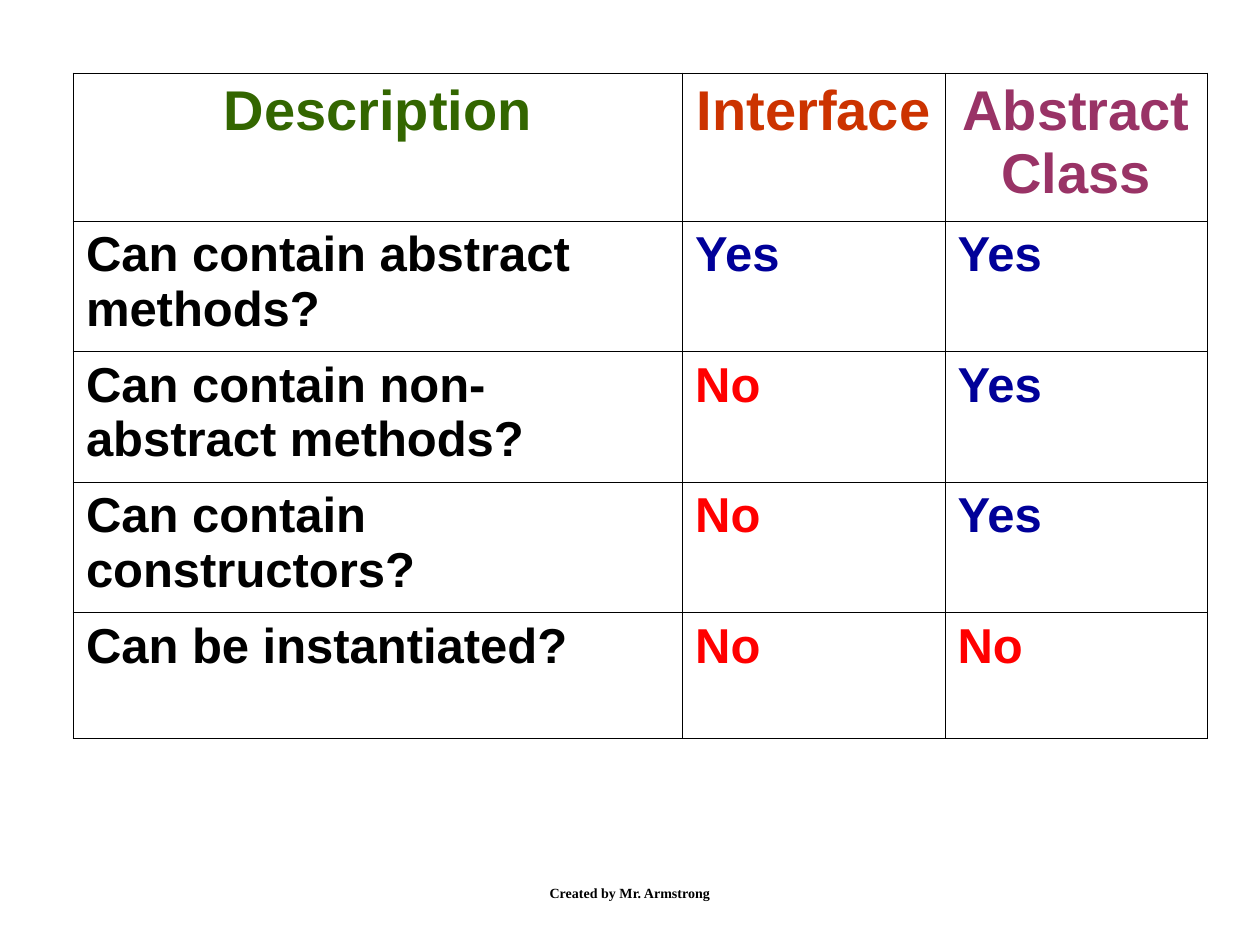
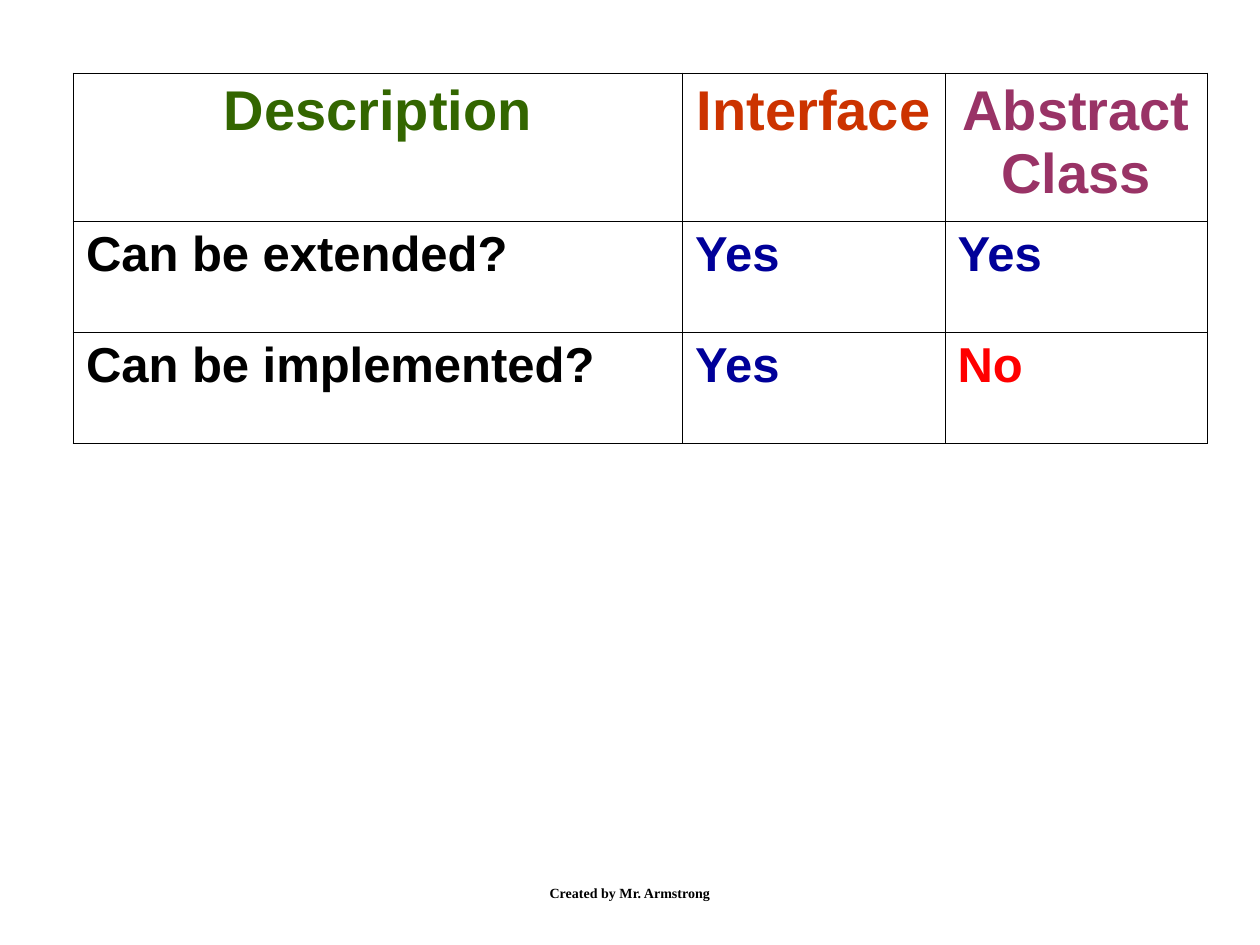
from dataclasses import dataclass

from lxml import etree
from pptx import Presentation
from pptx import util as u
from pptx.dml.color import RGBColor
from pptx.enum import text
from pptx.oxml import ns


@dataclass(frozen=True)
class Theme:
    """Colours, fonts and sizes shared by both slides."""
    ink: str = "000000"
    paper: str = "FFFFFF"
    headings: tuple = ("336600", "CC3300", "993366")
    yes: str = "000099"
    no: str = "FF0000"
    table_font: str = "Arial"
    footer_font: str = "Times New Roman"
    heading_size: int = 32
    body_size: int = 28
    footer_size: int = 8
    outer_line: float = 1.08
    inner_line: float = 0.45


@dataclass(frozen=True)
class Box:
    """A region of the slide in centimetres."""
    left: float
    top: float
    width: float
    height: float

    def place(self):
        """Return the region as lengths."""
        return [u.Cm(side) for side in (self.left, self.top, self.width, self.height)]


THEME = Theme()
HEADINGS = ("Description", "Interface", "Abstract Class")
COLUMN_WIDTHS = (12.28, 5.29, 5.29)
HEADING_HEIGHT = 2.98
FOOTER_BOX = Box(8.68, 17.36, 8.04, 1.27)

COMPARISONS = (
    (
        (2.63, "Can contain abstract methods?", "Yes", "Yes"),
        (2.63, "Can contain non-abstract methods?", "No", "Yes"),
        (2.63, "Can contain constructors?", "No", "Yes"),
        (2.54, "Can be instantiated?", "No", "No"),
    ),
    (
        (2.24, "Can be extended?", "Yes", "Yes"),
        (2.24, "Can be implemented?", "Yes", "No"),
    ),
)


def write(frame, words, font, size, colour, align):
    """Write one bold paragraph and return it."""
    frame.text = words
    para = frame.paragraphs[0]
    para.alignment = align
    for span in para.runs:
        span.font.name = font
        span.font.size = u.Pt(size)
        span.font.bold = True
        span.font.color.rgb = RGBColor.from_string(colour)
    return para


def draw_borders(cell, outer_sides):
    """Line all four sides of a cell, with heavier lines on the outer ones."""
    properties = cell._tc.get_or_add_tcPr()
    for side in "LRTB":
        points = THEME.outer_line if side in outer_sides else THEME.inner_line
        line = etree.SubElement(properties, ns.qn(f"a:ln{side}"), w=str(u.Pt(points)))
        fill = etree.SubElement(line, ns.qn("a:solidFill"))
        etree.SubElement(fill, ns.qn("a:srgbClr"), val=THEME.ink)


def fill_cell(cell, words, size, colour, align):
    """Give a cell its background and text."""
    cell.fill.solid()
    cell.fill.fore_color.rgb = RGBColor.from_string(THEME.paper)
    para = write(cell.text_frame, words, THEME.table_font, size, colour, align)
    para.space_before = u.Pt(size / 4)


def add_comparison(page, box, questions):
    """Add the table of headings, questions and answers."""
    rows = [HEADINGS] + [question[1:] for question in questions]
    heights = [HEADING_HEIGHT] + [question[0] for question in questions]
    table = page.shapes.add_table(len(rows), len(HEADINGS), *box.place()).table
    table.first_row = table.horz_banding = False
    for column, width in zip(table.columns, COLUMN_WIDTHS):
        column.width = u.Cm(width)
    answer_colours = {"Yes": THEME.yes, "No": THEME.no}
    for i, (row, height) in enumerate(zip(rows, heights)):
        table.rows[i].height = u.Cm(height)
        for j, words in enumerate(row):
            cell = table.cell(i, j)
            edges = {"T": i == 0, "B": i == len(rows) - 1,
                     "L": j == 0, "R": j == len(row) - 1}
            draw_borders(cell, [side for side, outer in edges.items() if outer])
            if i == 0:
                fill_cell(cell, words, THEME.heading_size, THEME.headings[j],
                          text.PP_ALIGN.CENTER)
            else:
                fill_cell(cell, words, THEME.body_size,
                          answer_colours.get(words, THEME.ink), text.PP_ALIGN.LEFT)


def add_footer(page, box):
    """Add the centred author line."""
    frame = page.shapes.add_textbox(*box.place()).text_frame
    frame.word_wrap = True
    frame.vertical_anchor = text.MSO_ANCHOR.MIDDLE
    write(frame, "Created by Mr. Armstrong", THEME.footer_font,
          THEME.footer_size, THEME.ink, text.PP_ALIGN.CENTER)


def add_comparison_page(deck, questions):
    """Add a slide with one comparison table and the footer."""
    page = deck.slides.add_slide(deck.slide_layouts[6])
    height = HEADING_HEIGHT + sum(question[0] for question in questions)
    add_comparison(page, Box(1.48, 1.48, sum(COLUMN_WIDTHS), height), questions)
    add_footer(page, FOOTER_BOX)


def main():
    """Build and save the deck."""
    deck = Presentation()
    deck.slide_width, deck.slide_height = u.Cm(25.4), u.Cm(19.05)
    for questions in COMPARISONS:
        add_comparison_page(deck, questions)
    deck.save("out.pptx")


if __name__ == "__main__":
    main()
